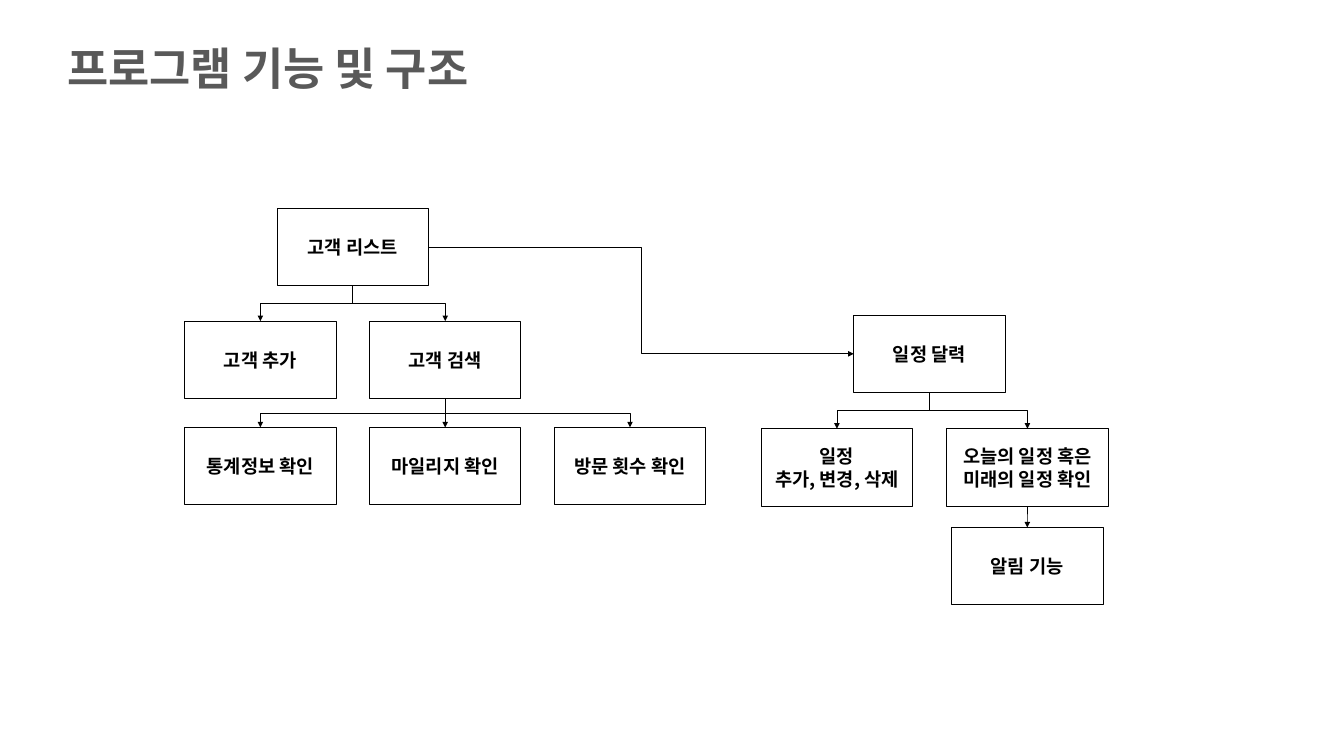
from lxml import etree
from pptx import Presentation
from pptx import util as u
from pptx.dml.color import RGBColor
from pptx.enum import shapes, text
from pptx.oxml.ns import qn

INK = {"title": "595959", "line": "000000", "fill": "FFFFFF"}
FACE = "Noto Sans CJK KR"
LEFT, COL = 2.75, 1.375
ROWS = {"list": 3.1, "plan": 4.69, "edit": 4.78, "info": 6.36, "task": 6.38, "alarm": 7.85}
WIDE, HIGH = 2.25, 1.15
TOP, SIDE, FOOT, EAST = range(4)
BOXES = {
    "list": ("고객 리스트", 1, "list", WIDE),
    "add": ("고객 추가", 0, "edit", WIDE),
    "find": ("고객 검색", 2, "edit", WIDE),
    "stats": ("통계정보 확인", 0, "info", WIDE),
    "miles": ("마일리지 확인", 2, "info", WIDE),
    "visits": ("방문 횟수 확인", 4, "info", WIDE),
    "plan": ("일정 달력", 7.24, "plan", WIDE),
    "change": ("일정\n추가, 변경, 삭제", 6.24, "task", WIDE),
    "today": ("오늘의 일정 혹은 미래의 일정 확인", 8.24, "task", 2.42),
    "alarm": ("알림 기능", 8.3, "alarm", WIDE),
}
TREE = {
    "list": ("add", "find"),
    "find": ("stats", "miles", "visits"),
    "plan": ("change", "today"),
    "today": ("alarm",),
}


def color(name):
    """Return the named colour."""
    return RGBColor.from_string(INK[name])


def write(frame, words, size, ink, align):
    """Fill a text frame with bold paragraphs."""
    frame.text = words
    for para in frame.paragraphs:
        para.alignment = align
        font = para.font
        font.size, font.bold, font.name = u.Pt(size), True, FACE
        font.color.rgb = color(ink)
        etree.SubElement(font._rPr, qn("a:ea"), typeface=FACE)


def title(slide, words):
    """Add the slide heading."""
    box = slide.shapes.add_textbox(*map(u.Inches, (0.9, 0.56, 6.97, 0.91)))
    box.text_frame.word_wrap = False
    write(box.text_frame, words, 48, "title", text.PP_ALIGN.LEFT)


def node(slide, words, col, row, width):
    """Add one box of the chart at a column and row."""
    spot = (LEFT + col * COL, ROWS[row], width, HIGH)
    box = slide.shapes.add_shape(shapes.MSO_SHAPE.RECTANGLE, *map(u.Inches, spot))
    box.shadow.inherit = False
    box.fill.solid()
    box.fill.fore_color.rgb = color("fill")
    box.line.color.rgb = color("line")
    box.line.width = u.Pt(0.75)
    box.text_frame.word_wrap = True
    box.text_frame.vertical_anchor = text.MSO_ANCHOR.MIDDLE
    write(box.text_frame, words, 20, "line", text.PP_ALIGN.CENTER)
    return box


def arrow(slide, kind, start, out, end, into):
    """Join two boxes with an arrow."""
    line = slide.shapes.add_connector(kind, 0, 0, 0, 0)
    line.begin_connect(start, out)
    line.end_connect(end, into)
    line.line.color.rgb = color("line")
    line.line.width = u.Pt(0.75)
    etree.SubElement(line.line._get_or_add_ln(), qn("a:tailEnd"), type="triangle")
    etree.SubElement(line._element.spPr, qn("a:effectLst"))
    return line


def drop(slide, start, end):
    """Lead an arrow down from a box to its child."""
    gap = end.left + end.width // 2 - start.left - start.width // 2
    if abs(gap) < u.Inches(0.02):
        arrow(slide, shapes.MSO_CONNECTOR.STRAIGHT, start, FOOT, end, TOP)
        return
    line = arrow(slide, shapes.MSO_CONNECTOR.ELBOW, start, FOOT, end, TOP)
    foot = start.top + start.height
    fall, span = end.top - foot, abs(gap)
    line.left = start.left + (start.width + gap - fall) // 2
    line.top = foot + (fall - span) // 2
    line.width, line.height = fall, span
    turn = line._element.spPr.find(qn("a:xfrm"))
    turn.set("rot", str((270 if gap > 0 else 90) * 60000))
    turn.set("flipH", "1" if gap > 0 else "0")
    turn.set("flipV", "0")


def main():
    """Build and save the slide."""
    deck = Presentation()
    deck.slide_width, deck.slide_height = u.Inches(20), u.Inches(11.25)
    slide = deck.slides.add_slide(deck.slide_layouts[6])
    title(slide, "프로그램 기능 및 구조")
    nodes = {key: node(slide, *box) for key, box in BOXES.items()}
    for head, kids in TREE.items():
        for kid in kids:
            drop(slide, nodes[head], nodes[kid])
    arrow(slide, shapes.MSO_CONNECTOR.ELBOW, nodes["list"], EAST, nodes["plan"], SIDE)
    deck.save("out.pptx")


if __name__ == "__main__":
    main()
